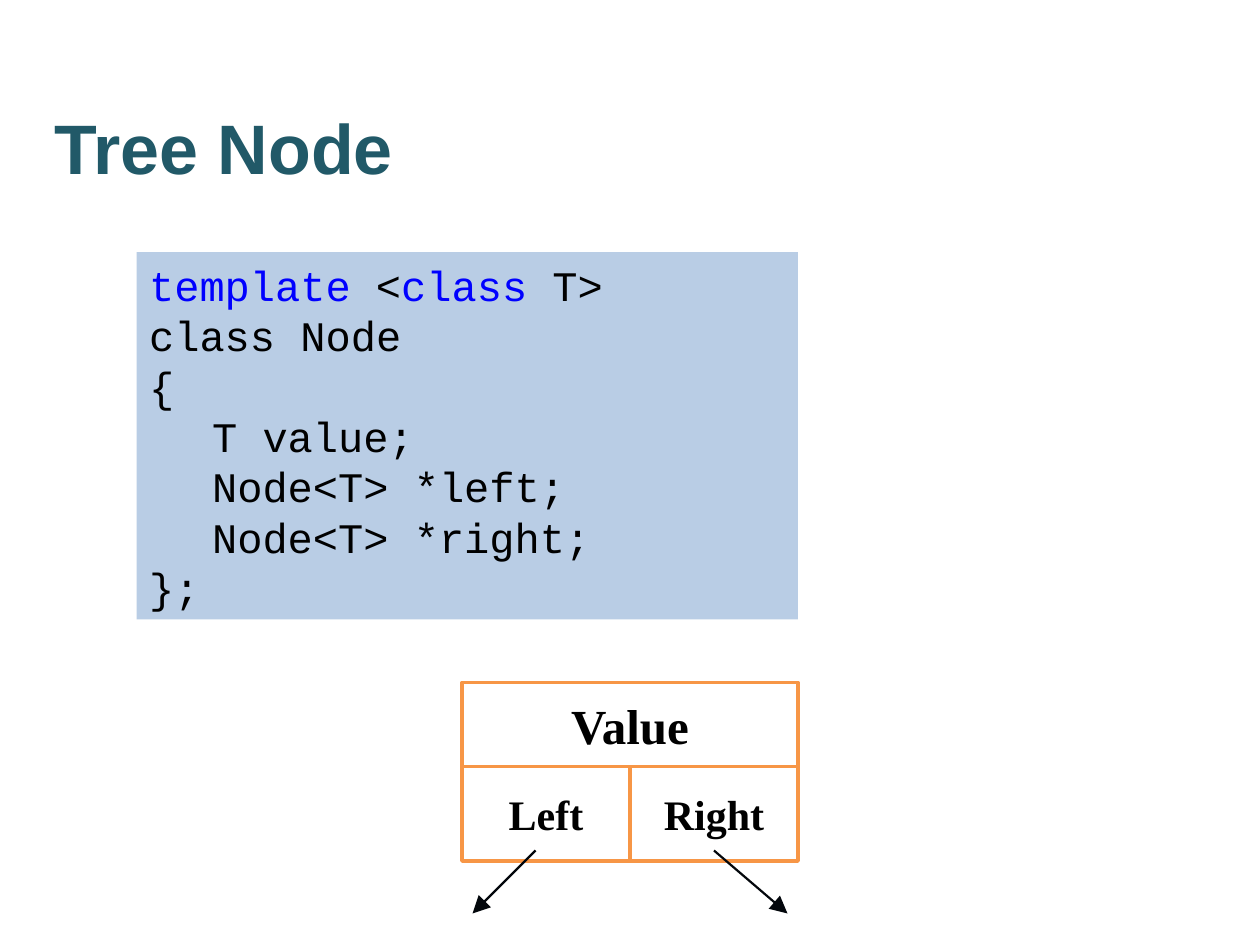
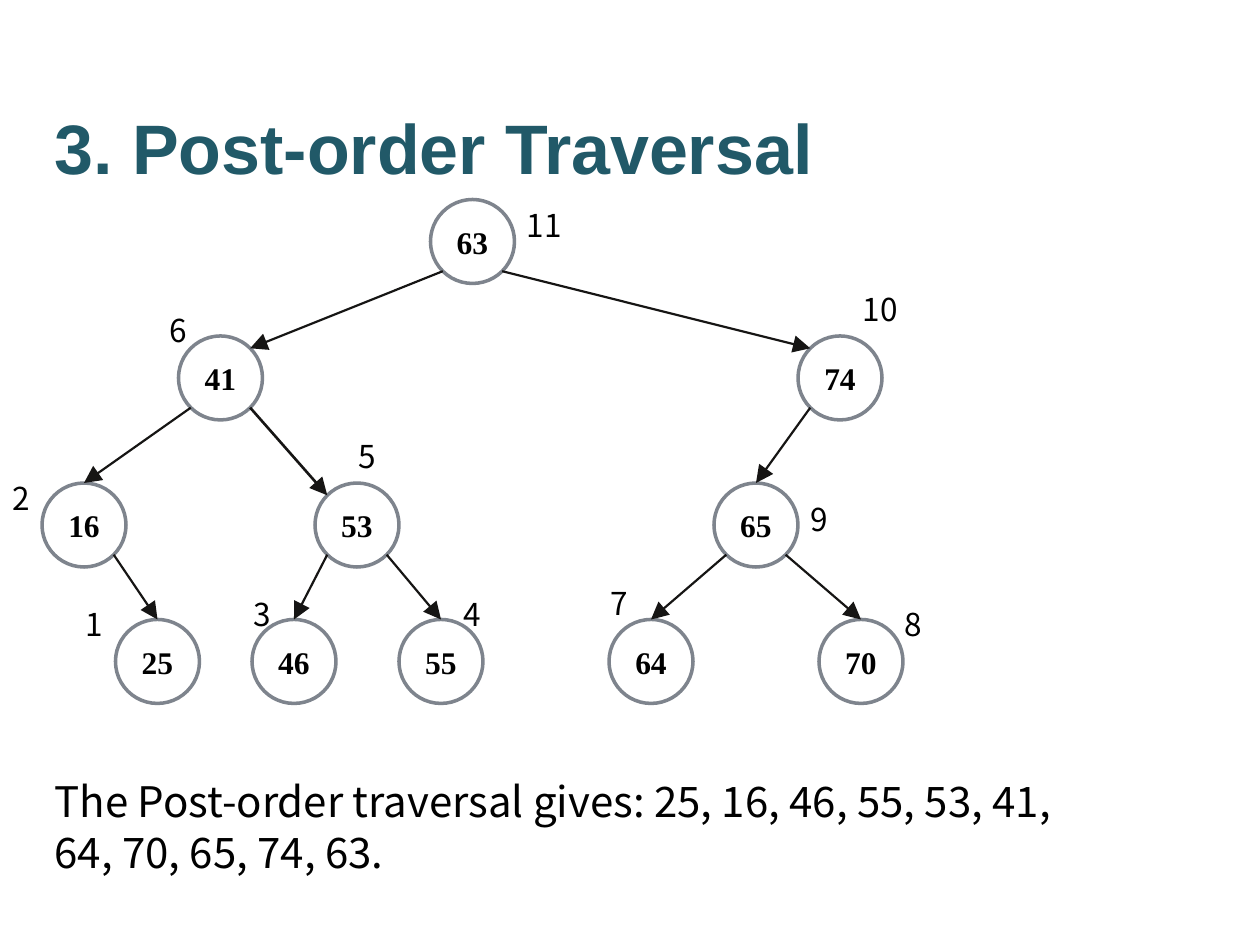
import math
from collections import namedtuple

from lxml import etree
from pptx import Presentation
from pptx import util as u
from pptx.dml.color import RGBColor
from pptx.enum import shapes, text
from pptx.oxml import ns

COLORS = {
    "title": "215968", "ink": "000000", "keyword": "0000FF", "paper": "FFFFFF",
    "code": "B9CDE5", "field": "F79646", "pointer": "03070C",
    "node": "7E848D", "edge": "161514",
}
TITLE_FONT, CODE_FONT = "Arial", "Courier New"
NODE_FONT, NOTE_FONT = "Times New Roman", "Noto Sans CJK KR"

Box = namedtuple("Box", "left top width height")
TITLE_BOX = Box(24, 41.5, 564, 84)

CODE_LINES = [
    [("template ", "keyword"), ("<", "ink"), ("class ", "keyword"), ("T>", "ink")],
    [("class Node", "ink")],
    [("{", "ink")],
    [("\tT value;", "ink")],
    [("\tNode<T> *left;", "ink")],
    [("\tNode<T> *right;", "ink")],
    [("};", "ink")],
]

# Places are measured from the top left corner of the tree.
Node = namedtuple("Node", "place label_place children")
ROOT = 63
TREE = {
    63: Node((246, 0), (294, 0), (41, 74)),
    41: Node((102, 78), (90, 60), (16, 53)),
    74: Node((456, 78), (486, 48), (65, None)),
    16: Node((24, 162), (0, 156), (None, 25)),
    53: Node((180, 162), (198, 132), (46, 55)),
    65: Node((408, 162), (456, 168), (64, 70)),
    25: Node((66, 240), (42, 228), ()),
    46: Node((144, 240), (138, 222), ()),
    55: Node((228, 240), (258, 222), ()),
    64: Node((348, 240), (342, 216), ()),
    70: Node((468, 240), (510, 228), ()),
}
SIDE_ENTRY = {41, 74, 53}  # nodes whose arrow arrives at an upper corner
HEAVY_ENTRY = {53}
RADIUS = 24
DIAGONAL = RADIUS * math.sqrt(0.5)


def rgb(name):
    return RGBColor.from_string(COLORS[name])


def in_points(box):
    return [u.Pt(length) for length in box]


def place(placeholder, box):
    (placeholder.left, placeholder.top,
     placeholder.width, placeholder.height) = in_points(box)


def add_run(paragraph, words, font, size, color="ink", bold=False):
    run = paragraph.add_run()
    run.text = words
    run.font.name = font
    run.font.size = u.Pt(size)
    run.font.bold = bold
    run.font.color.rgb = rgb(color)


def add_title(slide, words, box=TITLE_BOX):
    title = slide.shapes.title
    place(title, box)
    frame = title.text_frame
    frame.auto_size = text.MSO_AUTO_SIZE.NONE
    frame.vertical_anchor = text.MSO_ANCHOR.MIDDLE
    frame.paragraphs[0].alignment = text.PP_ALIGN.LEFT
    add_run(frame.paragraphs[0], words, TITLE_FONT, 40, "title", bold=True)


def add_cell(slide, kind, box, words, size, outline):
    """Add a white outlined shape with a bold centred caption."""
    cell = slide.shapes.add_shape(kind, *in_points(box))
    cell.shadow.inherit = False
    cell.fill.solid()
    cell.fill.fore_color.rgb = rgb("paper")
    cell.line.color.rgb = rgb(outline)
    cell.line.width = u.Pt(2)
    frame = cell.text_frame
    frame.margin_left = frame.margin_right = 0
    frame.vertical_anchor = text.MSO_ANCHOR.MIDDLE
    frame.paragraphs[0].alignment = text.PP_ALIGN.CENTER
    add_run(frame.paragraphs[0], words, NODE_FONT, size, bold=True)


def add_arrow(slide, start, end, color, weight=1.25):
    arrow = slide.shapes.add_connector(
        shapes.MSO_CONNECTOR.STRAIGHT, *in_points((*start, *end)))
    arrow.line.color.rgb = rgb(color)
    arrow.line.width = u.Pt(weight)
    properties = arrow.line._get_or_add_ln()
    etree.SubElement(properties, ns.qn("a:tailEnd"),
                     type="triangle", w="lg", len="lg")
    etree.SubElement(arrow._element.spPr, ns.qn("a:effectLst"))


def add_note(slide, box, words, size):
    note = slide.shapes.add_textbox(*in_points(box))
    frame = note.text_frame
    frame.word_wrap = True
    frame.auto_size = text.MSO_AUTO_SIZE.SHAPE_TO_FIT_TEXT
    frame.paragraphs[0].line_spacing = u.Pt(size * 1.22)
    add_run(frame.paragraphs[0], words, NOTE_FONT, size)


def format_code_line(paragraph):
    """Drop the bullet and indent, and set one tab stop an inch in."""
    paragraph.line_spacing = u.Pt(28.8)
    paragraph.space_before = u.Pt(0)
    properties = paragraph._p.get_or_add_pPr()
    properties.set("marL", "0")
    properties.set("indent", "0")
    etree.SubElement(properties, ns.qn("a:buNone"))
    tab_stops = etree.SubElement(properties, ns.qn("a:tabLst"))
    etree.SubElement(tab_stops, ns.qn("a:tab"), pos=str(u.Pt(72)), algn="l")


def add_code(slide, box):
    code = slide.placeholders[1]
    place(code, box)
    code.fill.solid()
    code.fill.fore_color.rgb = rgb("code")
    frame = code.text_frame
    frame.auto_size = text.MSO_AUTO_SIZE.NONE
    frame.vertical_anchor = text.MSO_ANCHOR.MIDDLE
    frame.margin_top = frame.margin_bottom = 0
    for number, line in enumerate(CODE_LINES):
        paragraph = frame.add_paragraph() if number else frame.paragraphs[0]
        format_code_line(paragraph)
        for words, color in line:
            add_run(paragraph, words, CODE_FONT, 24, color)


def add_node_diagram(slide, box):
    """Draw the value above its two pointer fields, with an arrow from each."""
    half, value_height = box.width / 2, 48
    pointers_top = box.top + value_height
    rectangle = shapes.MSO_SHAPE.RECTANGLE
    add_cell(slide, rectangle, box._replace(height=value_height), "Value", 28, "field")
    for column, words in enumerate(("Left", "Right")):
        pointer = Box(box.left + column * half, pointers_top,
                      half, box.height - value_height)
        add_cell(slide, rectangle, pointer, words, 24, "field")
    bottom = box.top + box.height
    for start, end in ((42, 6), (144, 186)):
        add_arrow(slide, (box.left + start, bottom - 6),
                  (box.left + end, bottom + 30), "pointer")


def post_order(value):
    if value is None:
        return []
    visited = [found for child in TREE[value].children for found in post_order(child)]
    return visited + [value]


def add_tree(slide, left, top):
    def center(value):
        x, y = TREE[value].place
        return left + x + RADIUS, top + y + RADIUS

    for value, node in TREE.items():
        x, y = node.place
        circle = Box(left + x, top + y, 2 * RADIUS, 2 * RADIUS)
        add_cell(slide, shapes.MSO_SHAPE.OVAL, circle, str(value), 18, "node")

    for value, node in TREE.items():
        x, y = center(value)
        for side, child in zip((-1, 1), node.children):
            if child is None:
                continue
            child_x, child_y = center(child)
            if child in SIDE_ENTRY:
                end = child_x - side * DIAGONAL, child_y - DIAGONAL
            else:
                end = child_x, child_y - RADIUS
            add_arrow(slide, (x + side * DIAGONAL, y + DIAGONAL), end, "edge",
                      1.5 if child in HEAVY_ENTRY else 1.25)

    for step, value in enumerate(post_order(ROOT), start=1):
        x, y = TREE[value].label_place
        width = 24 if step < 10 else 36
        add_note(slide, Box(left + x, top + y, width, 30), str(step), 18)


def add_tree_node_slide(deck):
    slide = deck.slides.add_slide(deck.slide_layouts[1])
    add_title(slide, "Tree Node")
    add_code(slide, Box(78, 144, 378, 210))
    add_node_diagram(slide, Box(264, 390, 192, 102))


def add_traversal_slide(deck):
    slide = deck.slides.add_slide(deck.slide_layouts[5])
    add_title(slide, "3. Post-order Traversal")
    add_tree(slide, 0, 114)
    visits = ", ".join(map(str, post_order(ROOT)))
    add_note(slide, Box(24, 439, 616, 66),
             f"The Post-order traversal gives: {visits}.", 24)


def main():
    deck = Presentation()
    deck.slide_width, deck.slide_height = u.Pt(720), u.Pt(540)
    add_tree_node_slide(deck)
    add_traversal_slide(deck)
    deck.save("out.pptx")


if __name__ == "__main__":
    main()
